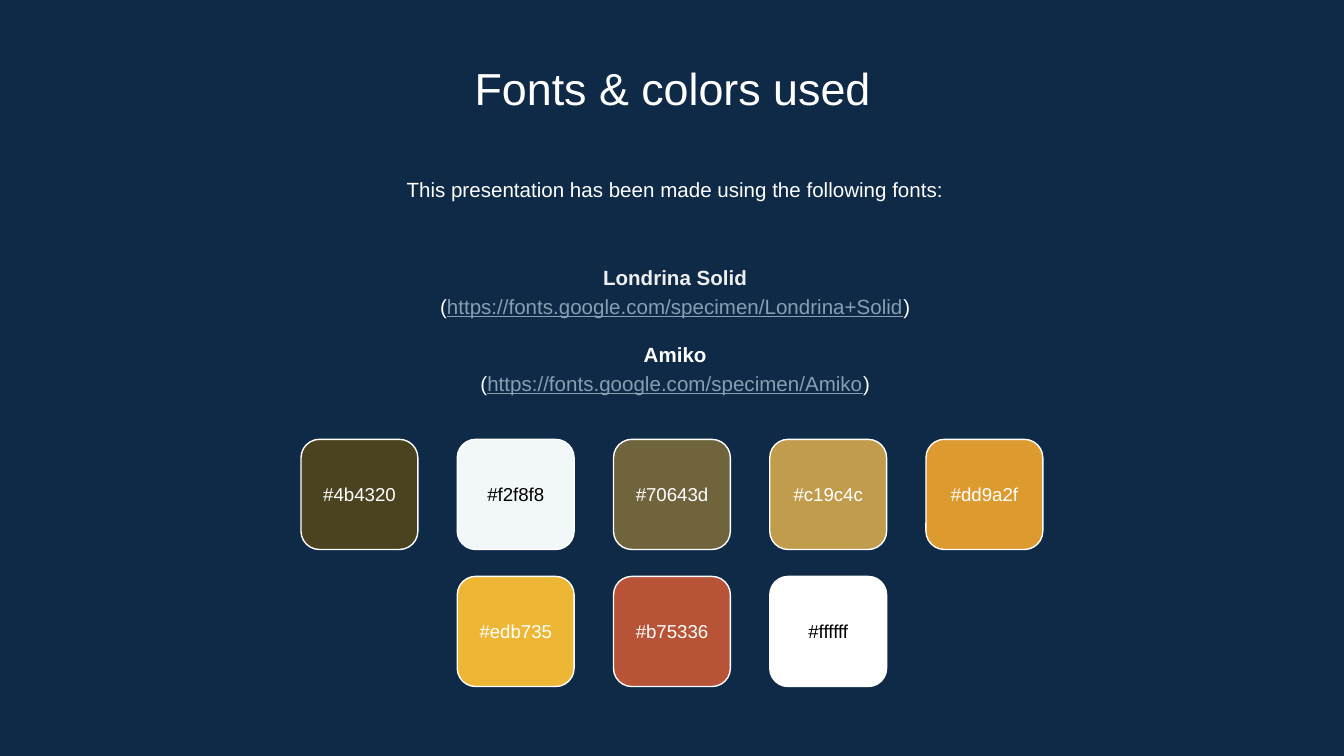
from dataclasses import dataclass

from pptx import Presentation
from pptx.dml.color import RGBColor
from pptx.enum.shapes import MSO_SHAPE as Preset
from pptx.enum.text import MSO_ANCHOR as Anchor, PP_ALIGN as Align
from pptx.util import Pt


@dataclass(frozen=True)
class Theme:
    font: str = "Arial"
    background: str = "0E2A47"
    light: str = "FFFFFF"
    dark: str = "000000"
    heading: str = "EFEFEF"
    link: str = "869FB2"
    title_size: float = 24
    body_size: float = 11
    label_size: float = 10


THEME = Theme()
SLIDE_WIDTH, SLIDE_HEIGHT = 720, 405
SWATCH_WIDTH, SWATCH_HEIGHT = 62.6, 59
COLUMN_PITCH, ROW_PITCH = 83.7, 73.4
SWATCH_TOP = 235.4
LABEL_HEIGHT = 34.6
PALETTE = [
    ["4b4320", "f2f8f8", "70643d", "c19c4c", "dd9a2f"],
    ["edb735", "b75336", "ffffff"],
]
PALE_SWATCHES = {"f2f8f8", "ffffff"}
FONT_SOURCES = [
    ("Londrina Solid", THEME.heading, "https://fonts.google.com/specimen/Londrina+Solid"),
    ("Amiko", THEME.light, "https://fonts.google.com/specimen/Amiko"),
]


def rgb(value):
    return RGBColor.from_string(value.upper())


def add_frame(slide, left, top, width, height, anchor=Anchor.TOP):
    frame = slide.shapes.add_textbox(Pt(left), Pt(top), Pt(width), Pt(height)).text_frame
    frame.word_wrap = True
    frame.vertical_anchor = anchor
    frame.margin_left = frame.margin_right = Pt(7.2)
    frame.margin_top = frame.margin_bottom = Pt(7.2)
    return frame


def add_run(paragraph, text, size, color, bold=False, underline=False):
    run = paragraph.add_run()
    run.text = text
    run.font.name = THEME.font
    run.font.size = Pt(size)
    run.font.color.rgb = rgb(color)
    run.font.bold = bold
    run.font.underline = underline


def center(paragraph, line_spacing=1.0):
    paragraph.alignment = Align.CENTER
    paragraph.line_spacing = line_spacing
    return paragraph


def add_line(slide, box, text, size, color, line_spacing=1.0, anchor=Anchor.TOP):
    paragraph = center(add_frame(slide, *box, anchor).paragraphs[0], line_spacing)
    add_run(paragraph, text, size, color)


def add_font_sources(slide):
    frame = add_frame(slide, 84.2, 126.7, 555, 98.6, Anchor.MIDDLE)
    for index, (family, color, address) in enumerate(FONT_SOURCES):
        name = center(frame.add_paragraph() if index else frame.paragraphs[0], 1.15)
        if index:
            name.space_before = Pt(11)
        add_run(name, family, THEME.body_size, color, bold=True)
        source = center(frame.add_paragraph(), 1.15)
        add_run(source, "(", THEME.body_size, THEME.light)
        add_run(source, address, THEME.body_size, THEME.link, underline=True)
        add_run(source, ")", THEME.body_size, THEME.light)


def add_swatch(slide, left, top, color):
    swatch = slide.shapes.add_shape(
        Preset.ROUNDED_RECTANGLE, Pt(left), Pt(top), Pt(SWATCH_WIDTH), Pt(SWATCH_HEIGHT)
    )
    swatch.shadow.inherit = False
    swatch.fill.solid()
    swatch.fill.fore_color.rgb = rgb(color)
    swatch.line.color.rgb = rgb(THEME.light)
    swatch.line.width = Pt(0.75)
    label_top = top + (SWATCH_HEIGHT - LABEL_HEIGHT) / 2
    label_color = THEME.dark if color in PALE_SWATCHES else THEME.light
    add_line(slide, (left, label_top, SWATCH_WIDTH, LABEL_HEIGHT), f"#{color}",
             THEME.label_size, label_color, anchor=Anchor.MIDDLE)


def add_palette(slide):
    for row, colors in enumerate(PALETTE):
        row_width = (len(colors) - 1) * COLUMN_PITCH + SWATCH_WIDTH
        row_left = (SLIDE_WIDTH - row_width) / 2
        for column, color in enumerate(colors):
            add_swatch(slide, row_left + column * COLUMN_PITCH,
                       SWATCH_TOP + row * ROW_PITCH, color)


def main():
    deck = Presentation()
    deck.slide_width, deck.slide_height = Pt(SLIDE_WIDTH), Pt(SLIDE_HEIGHT)
    slide = deck.slides.add_slide(deck.slide_layouts[6])
    slide.background.fill.solid()
    slide.background.fill.fore_color.rgb = rgb(THEME.background)
    add_line(slide, (82.8, 25.2, 555, 38.2), "Fonts & colors used",
             THEME.title_size, THEME.light)
    add_line(slide, (84.2, 85.7, 555, 34.6),
             "This presentation has been made using the following fonts:",
             THEME.body_size, THEME.light, 1.15)
    add_font_sources(slide)
    add_palette(slide)
    deck.save("out.pptx")


if __name__ == "__main__":
    main()
